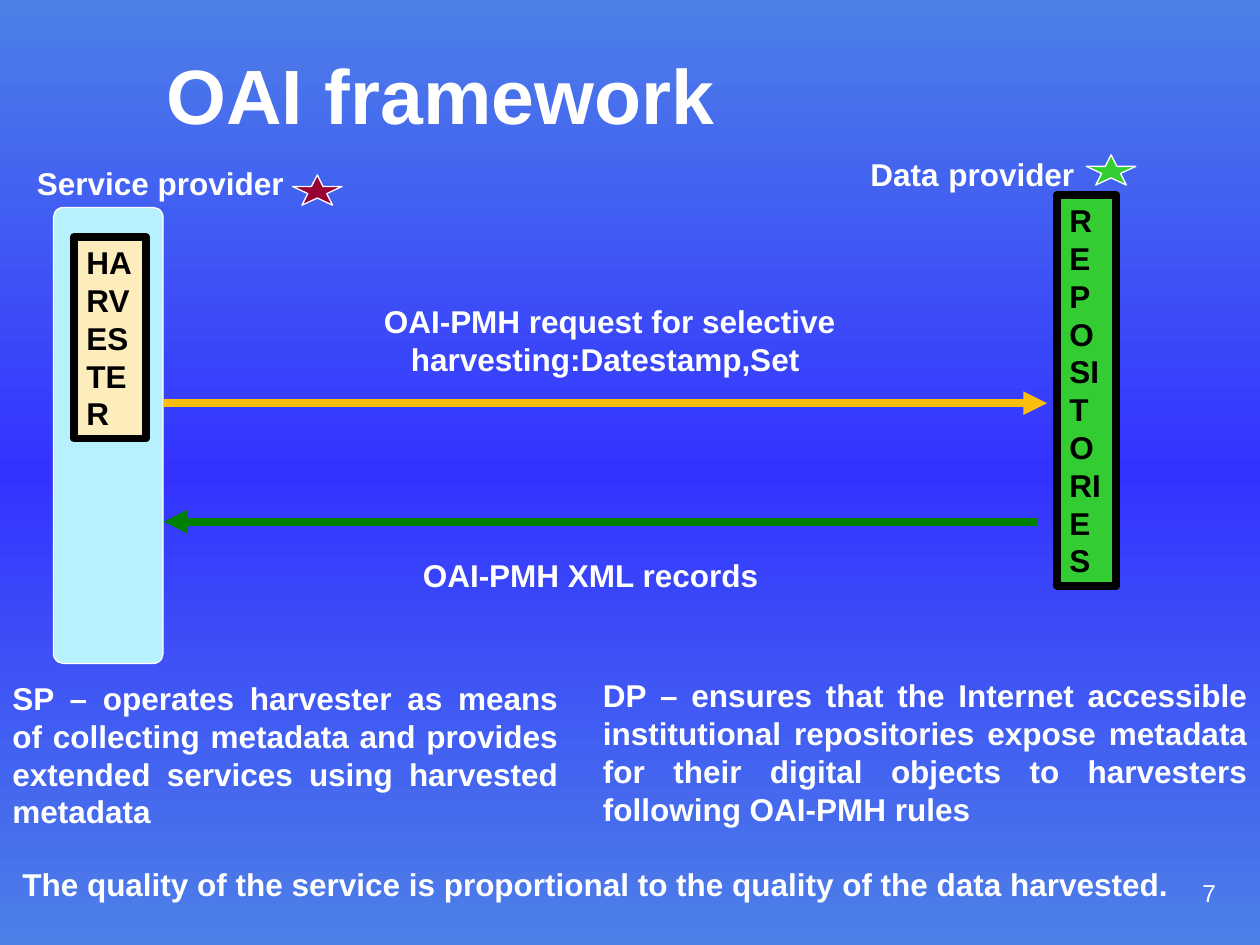
from copy import deepcopy

from lxml import etree
from pptx import Presentation
from pptx import util as u
from pptx.dml.color import RGBColor
from pptx.enum import shapes, text
from pptx.oxml import ns

WHITE = RGBColor(0xFF, 0xFF, 0xFF)
BLACK = RGBColor(0x00, 0x00, 0x00)
SKY = RGBColor(0x4D, 0x80, 0xE7)
ROYAL = RGBColor(0x33, 0x33, 0xFF)
PALE_CYAN = RGBColor(0xB8, 0xF1, 0xFE)
CREAM = RGBColor(0xFE, 0xED, 0xBC)
GREEN = RGBColor(0x33, 0xCC, 0x33)
DARK_GREEN = RGBColor(0x00, 0x80, 0x00)
AMBER = RGBColor(0xFC, 0xBE, 0x0E)
CRIMSON = RGBColor(0x99, 0x00, 0x33)

LEFT, CENTER = text.PP_ALIGN.LEFT, text.PP_ALIGN.CENTER
RIGHT, JUSTIFY = text.PP_ALIGN.RIGHT, text.PP_ALIGN.JUSTIFY
TOP, MIDDLE = text.MSO_ANCHOR.TOP, text.MSO_ANCHOR.MIDDLE
GROW, FIXED = text.MSO_AUTO_SIZE.SHAPE_TO_FIT_TEXT, text.MSO_AUTO_SIZE.NONE
PRESET = shapes.MSO_SHAPE


def points(values):
    return [u.Pt(value) for value in values]


def apply(target, values):
    for name, value in values.items():
        setattr(target, name, value)


def paint_background(page):
    fill = page.background.fill
    fill.gradient()
    fill.gradient_angle = 270
    stops = page.element.find(".//" + ns.qn("a:gsLst"))
    stops.append(deepcopy(stops[-1]))
    for stop, position, color in zip(
        fill.gradient_stops, (0, 0.5, 1), (SKY, ROYAL, SKY)
    ):
        stop.position = position
        stop.color.rgb = color


def write(box, spans, color=WHITE, size=18, bold=True, align=LEFT,
          anchor=TOP, auto_size=GROW):
    frame = box.text_frame
    apply(frame, {"word_wrap": True, "auto_size": auto_size,
                  "vertical_anchor": anchor})
    para = frame.paragraphs[0]
    para.alignment = align
    for words, span_size in spans if isinstance(spans, list) else [(spans, size)]:
        span = para.add_run()
        span.text = words
        apply(span.font, {"name": "Arial", "size": u.Pt(span_size), "bold": bold})
        span.font.color.rgb = color


def add_title(page, words, place):
    title = page.shapes.title
    apply(title, dict(zip(("left", "top", "width", "height"), points(place))))
    write(title, words, size=44, anchor=MIDDLE, auto_size=FIXED)


def add_label(page, words, place, **formats):
    box = page.shapes.add_textbox(*points(place))
    write(box, words, **formats)


def add_block(page, preset, place, fill, line=WHITE, weight=0.75):
    block = page.shapes.add_shape(preset, *points(place))
    block.shadow.inherit = False
    block.fill.solid()
    block.fill.fore_color.rgb = fill
    block.line.color.rgb = line
    block.line.width = u.Pt(weight)
    return block


def add_column(page, words, place, fill):
    column = add_block(page, PRESET.RECTANGLE, place, fill, BLACK, 4.5)
    write(column, words, color=BLACK)


def add_panel(page, place, fill):
    panel = add_block(page, PRESET.ROUNDED_RECTANGLE, place, fill)
    panel.adjustments[0] = 0.09
    panel.rotation = 270


def add_arrow(page, start, end, color):
    arrow = page.shapes.add_connector(
        shapes.MSO_CONNECTOR.STRAIGHT, *points(start + end)
    )
    arrow.line.color.rgb = color
    arrow.line.width = u.Pt(4.5)
    line = arrow.element.spPr.find(ns.qn("a:ln"))
    etree.SubElement(line, ns.qn("a:tailEnd"), type="triangle")
    etree.SubElement(arrow.element.spPr, ns.qn("a:effectLst"))


def main():
    deck = Presentation()
    deck.slide_width, deck.slide_height = u.Pt(720), u.Pt(540)
    page = deck.slides.add_slide(deck.slide_layouts[5])
    paint_background(page)
    add_title(page, "OAI framework", (88, 20, 612, 67))

    add_panel(page, (-68.4, 217.5, 260.6, 62.6), PALE_CYAN)
    add_column(page, "HARVESTER", (42.3, 135.4, 41.2, 115.2), CREAM)
    add_column(page, "REPOSITORIES", (604, 111.5, 33.9, 223.2), GREEN)

    add_label(page, "OAI-PMH request for selective harvesting:Datestamp,Set ",
              (104.4, 169.2, 488, 50.4), align=CENTER)
    add_arrow(page, (93.6, 230.4), (598.3, 230.4), AMBER)
    add_label(page, "OAI-PMH XML records", (88, 314, 499, 29), align=CENTER)
    add_arrow(page, (592.6, 298.1), (93.6, 298.1), DARK_GREEN)

    add_label(page, "Service provider", (14, 90, 196, 29))
    add_label(page, [("Data", 18), (" ", 20), ("provider", 18)],
              (490.3, 83, 204.5, 31.5))
    add_label(page, "DP – ensures that the Internet accessible institutional "
              "repositories expose metadata for their digital objects to "
              "harvesters following OAI-PMH rules ",
              (337.5, 383, 382.5, 93.6), align=JUSTIFY)
    add_label(page, "SP – operates harvester as means of collecting metadata "
              "and provides extended services using harvested metadata",
              (0, 384.5, 326, 93.6), align=JUSTIFY)
    add_label(page, "The quality of the service is proportional to the quality "
              "of the data harvested.", (5.7, 491, 714.3, 29))

    for left, top, color in ((620.8, 88.5, GREEN), (167.2, 100, CRIMSON)):
        add_block(page, PRESET.STAR_5_POINT, (left, top, 28.3, 17.3), color)
    add_label(page, "7", (552, 492, 150, 36), size=14, bold=False,
              align=RIGHT, anchor=MIDDLE, auto_size=FIXED)
    deck.save("out.pptx")


if __name__ == "__main__":
    main()
